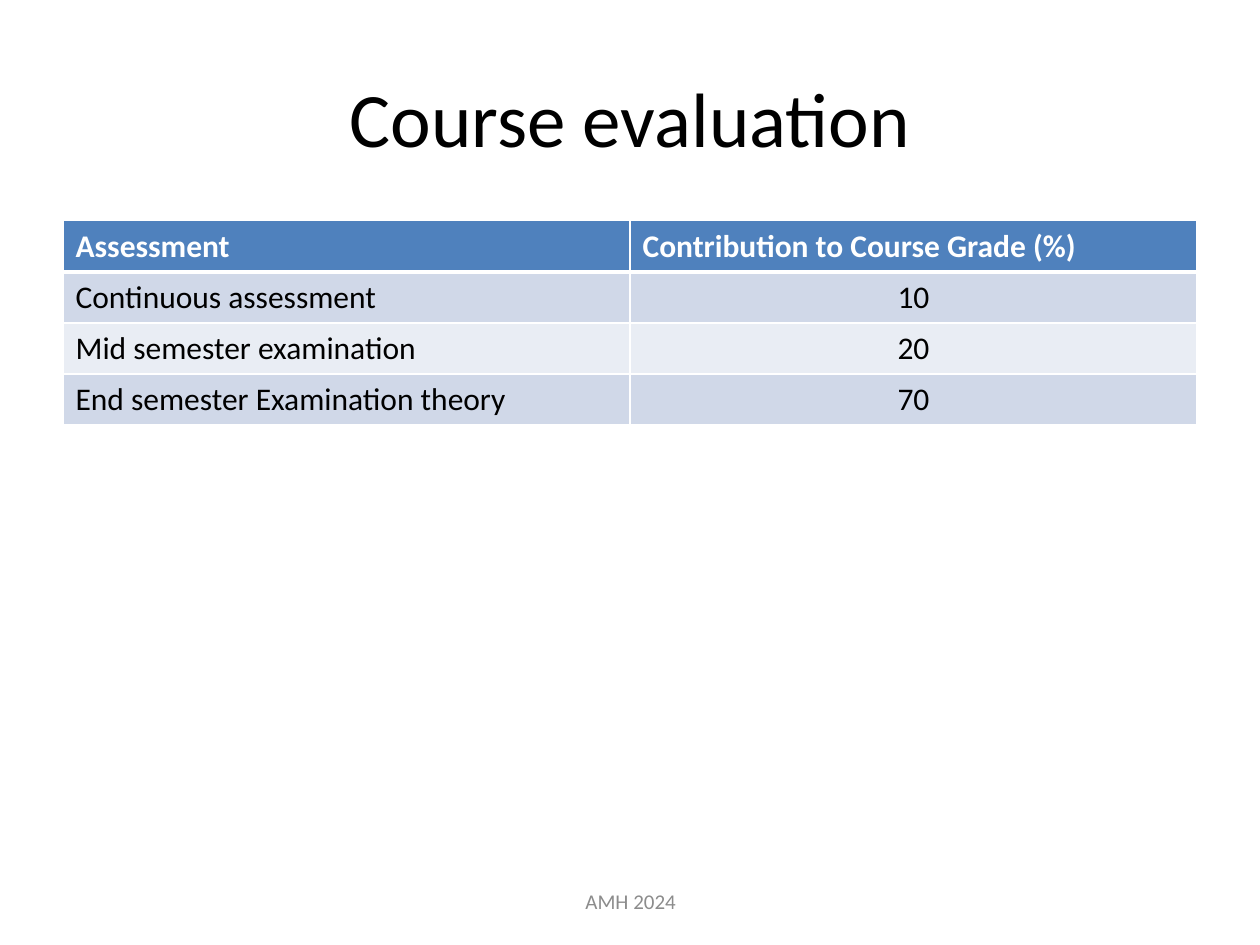
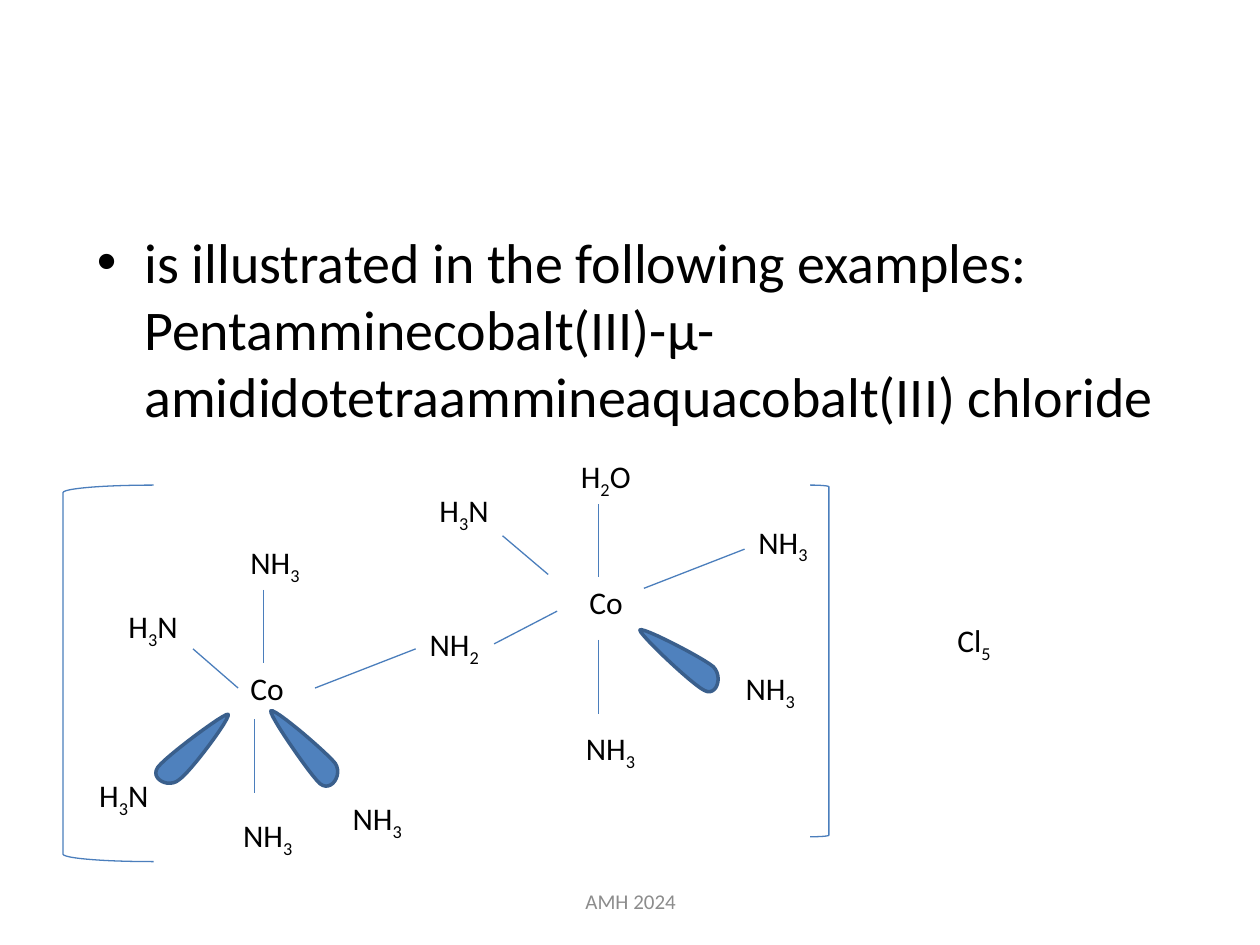
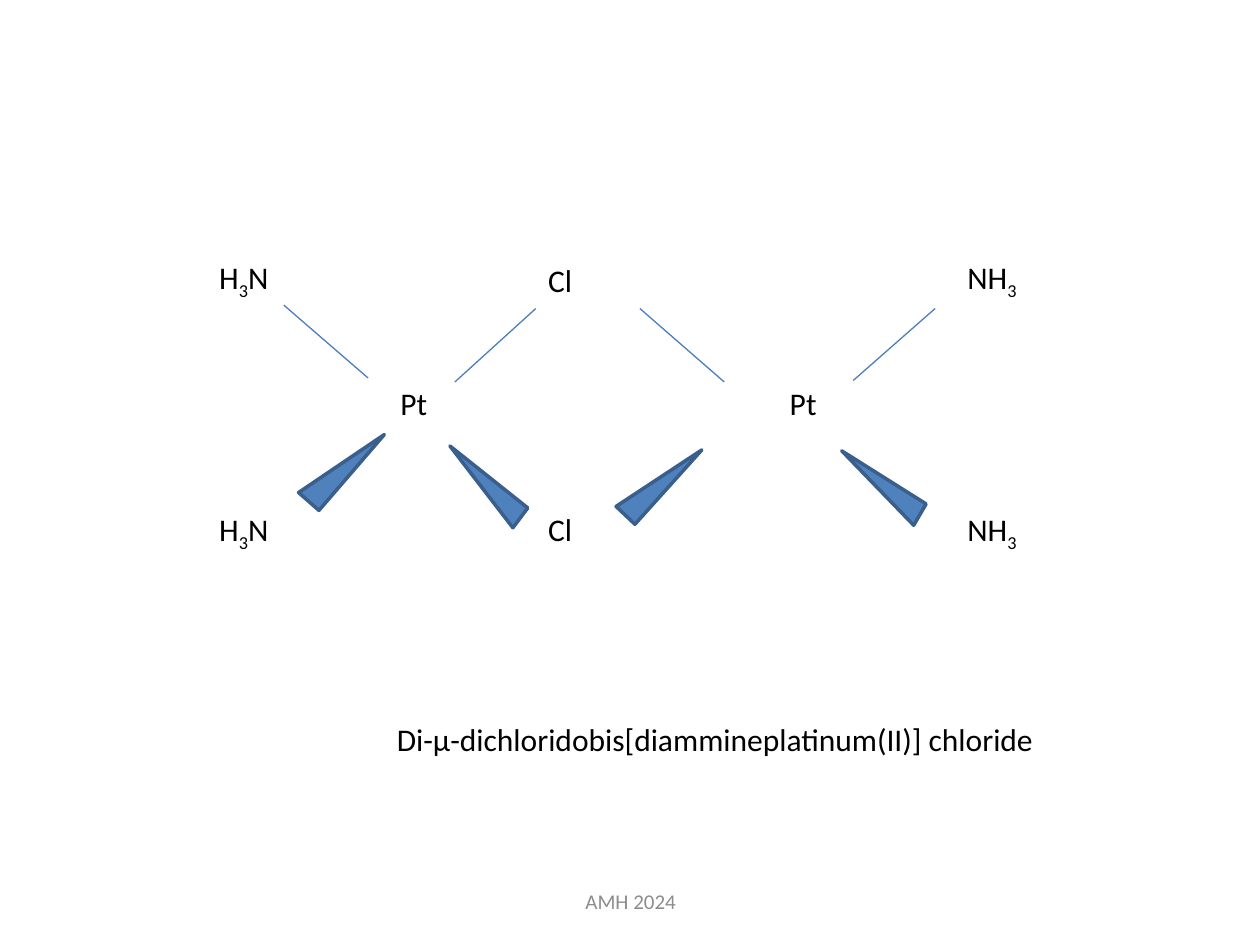
from dataclasses import dataclass
from itertools import groupby

from lxml import etree
from pptx import Presentation, util as u
from pptx.dml.color import RGBColor
from pptx.enum import shapes, text
from pptx.oxml.ns import qn


@dataclass(frozen=True)
class Theme:
    font: str = "Calibri"
    ink: str = "000000"
    white: str = "FFFFFF"
    grey: str = "8C8C8C"
    accent: str = "4F81BD"
    outline: str = "3A5F8C"
    bond: str = "4B7EBC"
    bands: tuple = ("D0D8E8", "E9EDF4")
    title: int = 44
    body: int = 32
    label: int = 18
    footer: int = 12


T = Theme()
CENTER = text.PP_ALIGN.CENTER


def write(tf, content, size, color=T.ink, subscripts=False, bold=False, align=None):
    """Fill the first paragraph; with subscripts, digits are lowered."""
    p = tf.paragraphs[0]
    p.alignment = align
    parts = [(False, content)]
    if subscripts:
        parts = [(low, "".join(g)) for low, g in groupby(content, str.isdigit)]
    for low, part in parts:
        r = p.add_run()
        r.text = part
        for name, value in {"name": T.font, "size": u.Pt(size), "bold": bold}.items():
            setattr(r.font, name, value)
        r.font.color.rgb = RGBColor.from_string(color)
        if low:
            r._r.get_or_add_rPr().set("baseline", "-25000")


def curve(start, *segments, steps=12):
    """Points along a chain of cubic Bézier segments."""
    points = [start]
    for b, c, d in segments:
        a = points[-1]
        for i in range(1, steps + 1):
            t = i / steps
            weights = ((1 - t) ** 3, 3 * t * (1 - t) ** 2, 3 * t * t * (1 - t), t ** 3)
            points.append(tuple(sum(w * q[axis] for w, q in zip(weights, (a, b, c, d)))
                                for axis in (0, 1)))
    return points


prs = Presentation()
prs.slide_width, prs.slide_height = u.Cm(25.4), u.Cm(19.05)

# Course evaluation
evaluation = prs.slides.add_slide(prs.slide_layouts[5])
title = evaluation.shapes.title
title.left, title.top, title.width, title.height = map(u.Cm, (1.27, 0.76, 22.86, 3.18))
title.text_frame.vertical_anchor = text.MSO_ANCHOR.MIDDLE
write(title.text_frame, "Course evaluation", T.title, align=CENTER)

grades = [
    ("Assessment", "Contribution to Course Grade (%)"),
    ("Continuous assessment", "10"),
    ("Mid semester examination", "20"),
    ("End semester Examination theory", "70"),
]
row_height = 1.03
table = evaluation.shapes.add_table(
    len(grades), 2, u.Cm(1.27), u.Cm(4.45), u.Cm(22.86), u.Cm(row_height * len(grades))).table
for i, row in enumerate(grades):
    table.rows[i].height = u.Cm(row_height)
    header = i == 0
    for j, value in enumerate(row):
        cell = table.cell(i, j)
        write(cell.text_frame, value, T.label, T.white if header else T.ink,
              bold=header, align=CENTER if j and not header else None)
        tcPr = cell._tc.get_or_add_tcPr()
        widths = {"lnL": 1, "lnR": 1, "lnT": 3 if i == 1 else 1, "lnB": 3 if header else 1}
        for side, points in widths.items():
            ln = etree.SubElement(tcPr, qn(f"a:{side}"), w=str(u.Pt(points)))
            fill = etree.SubElement(ln, qn("a:solidFill"))
            etree.SubElement(fill, qn("a:srgbClr"), val=T.white)
        cell.fill.solid()
        cell.fill.fore_color.rgb = RGBColor.from_string(
            T.accent if header else T.bands[(i - 1) % 2])

# Cobalt complex
cobalt = prs.slides.add_slide(prs.slide_layouts[1])
title = cobalt.shapes.title
title._element.getparent().remove(title._element)
body = cobalt.placeholders[1]
body.left, body.top, body.width, body.height = map(u.Cm, (1.7, 4.45, 22.86, 12.9))
write(body.text_frame, "is illustrated in the following examples: "
      "Pentamminecobalt(III)-µ-amididotetraammineaquacobalt(III) chloride", T.body)

cobalt_labels = [
    ("Co", 4.8, 13.36), ("Co", 11.63, 11.63), ("NH3", 6.86, 15.98), ("NH3", 4.8, 10.82),
    ("NH3", 4.65, 16.33), ("H3N", 1.75, 15.52), ("H3N", 2.34, 12.12), ("NH2", 8.41, 12.47),
    ("H2O", 11.46, 9.09), ("H3N", 8.61, 9.78), ("NH3", 15.04, 10.41), ("NH3", 14.78, 13.36),
    ("NH3", 11.56, 14.58), ("Cl5", 19.05, 12.4),
]
cobalt_bonds = [
    (5.13, 14.5, 5.13, 15.98), (5.31, 11.89, 5.31, 13.36), (6.35, 13.87, 8.38, 13.08),
    (9.96, 12.98, 11.23, 12.32), (12.07, 10.16, 12.07, 11.63), (3.89, 13.08, 4.8, 13.87),
    (10.13, 10.8, 11.05, 11.58), (12.98, 11.86, 15.01, 11.07), (12.07, 12.9, 12.07, 14.4),
]
cobalt_wedges = [
    curve((4.6, 14.4),
          ((4.55, 14.35), (3.35, 15.24), (3.18, 15.47)),
          ((3.02, 15.7), (3.4, 15.9), (3.61, 15.72)),
          ((3.84, 15.57), (4.67, 14.45), (4.6, 14.4))),
    curve((5.46, 14.33),
          ((5.41, 14.4), (6.25, 15.62), (6.45, 15.8)),
          ((6.68, 15.98), (6.91, 15.62), (6.76, 15.39)),
          ((6.58, 15.16), (5.51, 14.25), (5.46, 14.33))),
    curve((12.9, 12.7),
          ((12.88, 12.78), (13.94, 13.79), (14.2, 13.92)),
          ((14.45, 14.05), (14.58, 13.64), (14.38, 13.44)),
          ((14.17, 13.26), (12.93, 12.62), (12.9, 12.7))),
]
for kind, box in (
    (shapes.MSO_SHAPE.LEFT_BRACKET, (1.27, 9.78, 1.83, 7.59)),
    (shapes.MSO_SHAPE.RIGHT_BRACKET, (16.33, 9.78, 0.38, 7.09)),
):
    sp = cobalt.shapes.add_shape(kind, *map(u.Cm, box))
    sp.shadow.inherit = False
    sp.fill.background()
    sp.line.color.rgb = RGBColor.from_string(T.bond)
    sp.line.width = u.Pt(0.75)

# Platinum complex
platinum = prs.slides.add_slide(prs.slide_layouts[6])
platinum_name = "Di-µ-dichloridobis[diammineplatinum(II)] chloride"
platinum_labels = [
    ("H3N", 4.17, 5.08), ("Pt", 7.82, 7.62), ("H3N", 4.17, 10.16), ("Cl", 10.8, 5.13),
    ("Cl", 10.8, 10.16), ("Pt", 15.67, 7.62), ("NH3", 19.25, 5.08), ("NH3", 19.25, 10.16),
    (platinum_name, 7.75, 14.4),
]
platinum_bonds = [
    (5.72, 6.15, 7.42, 7.62), (17.2, 7.67, 18.85, 6.22),
    (12.9, 6.22, 14.6, 7.7), (9.17, 7.7, 10.8, 6.22),
]
platinum_wedges = [
    [(7.75, 8.76), (6.02, 9.93), (6.43, 10.29)],
    [(14.15, 9.07), (12.42, 10.21), (12.8, 10.57)],
    [(16.97, 9.09), (18.42, 10.59), (18.67, 10.16)],
    [(9.07, 8.99), (10.34, 10.64), (10.64, 10.24)],
]

# Labels, bonds and wedges of both complexes
label_widths = {"Co": 1.19, "Pt": 1.07, "Cl": 0.99, "Cl5": 1.22, platinum_name: 13.49}
for s, labels, bonds, wedges in (
    (cobalt, cobalt_labels, cobalt_bonds, cobalt_wedges),
    (platinum, platinum_labels, platinum_bonds, platinum_wedges),
):
    for outline in wedges:
        points = [(u.Cm(x), u.Cm(y)) for x, y in outline]
        builder = s.shapes.build_freeform(*points[0])
        builder.add_line_segments(points[1:], close=True)
        sp = builder.convert_to_shape()
        sp.shadow.inherit = False
        sp.fill.solid()
        sp.fill.fore_color.rgb = RGBColor.from_string(T.accent)
        sp.line.color.rgb = RGBColor.from_string(T.outline)
        sp.line.width = u.Pt(2)
    for ends in bonds:
        bond = s.shapes.add_connector(shapes.MSO_CONNECTOR.STRAIGHT, *map(u.Cm, ends))
        bond.line.color.rgb = RGBColor.from_string(T.bond)
        bond.line.width = u.Pt(0.75)
        etree.SubElement(bond._element.spPr, qn("a:effectLst"))
    for label, left, top in labels:
        box = (left, top, label_widths.get(label, 1.55), 1.02)
        tf = s.shapes.add_textbox(*map(u.Cm, box)).text_frame
        tf.word_wrap = False
        tf.auto_size = text.MSO_AUTO_SIZE.SHAPE_TO_FIT_TEXT
        write(tf, label, T.label, subscripts=True)

# Footers
for s in prs.slides:
    tf = s.shapes.add_textbox(*map(u.Cm, (8.69, 17.65, 8.05, 1.02))).text_frame
    tf.word_wrap = True
    tf.vertical_anchor = text.MSO_ANCHOR.MIDDLE
    write(tf, "AMH 2024", T.footer, T.grey, align=CENTER)

prs.save("out.pptx")
